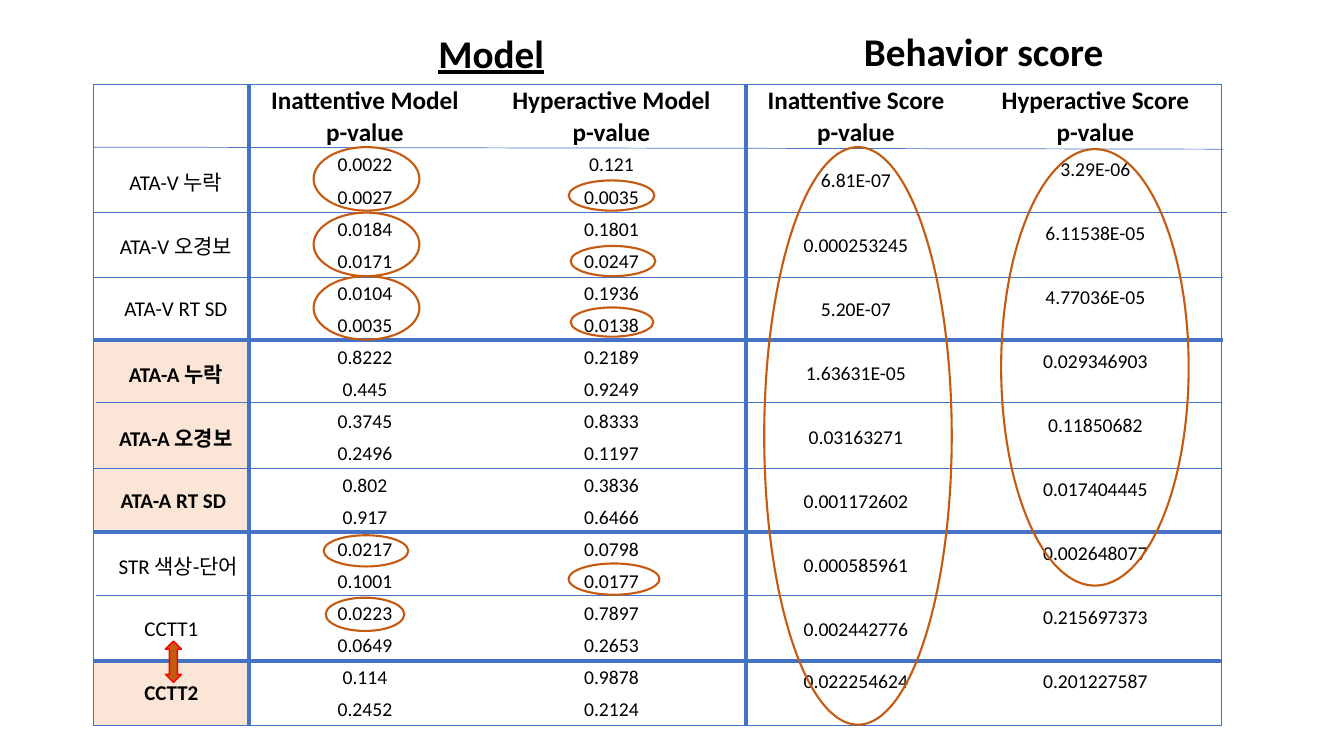
import pptx
import pptx.dml.color
import pptx.enum.shapes
import pptx.enum.text
import pptx.oxml
import pptx.oxml.ns
import pptx.util
from pptx.util import Inches

COLORS = {"blue": "4472C4", "orange": "C55A11", "red": "FF0000", "peach": "FBE5D6", "black": "000000"}
FONT = "Calibri"
NO_GRID_STYLE = "{2D5ABB26-0587-4C30-8999-92F81FD0307C}"
SHAPES = pptx.enum.shapes.MSO_SHAPE
ANCHOR = pptx.enum.text.MSO_ANCHOR

# Table content
TABLE_LEFT, TABLE_TOP, ROW_HEIGHT = 0.93, 0.84, 0.318
COLUMN_WIDTHS = [1.54, 2.3, 2.59, 2.26, 2.49]
HEADINGS = ["Inattentive Model", "Hyperactive Model", "Inattentive Score", "Hyperactive Score"]
# label, indent, highlighted, inattentive model, hyperactive model, inattentive score, hyperactive score
MEASURES = [
    ("ATA-V 누락", 0.1, False, ("0.0022", "0.0027"), ("0.121", "0.0035"), "6.81E-07", "3.29E-06"),
    ("ATA-V 오경보", 0.1, False, ("0.0184", "0.0171"), ("0.1801", "0.0247"), "0.000253245", "6.11538E-05"),
    ("ATA-V RT SD", 0.1, False, ("0.0104", "0.0035"), ("0.1936", "0.0138"), "5.20E-07", "4.77036E-05"),
    ("ATA-A 누락", 0.1, True, ("0.8222", "0.445"), ("0.2189", "0.9249"), "1.63631E-05", "0.029346903"),
    ("ATA-A 오경보", 0.1, True, ("0.3745", "0.2496"), ("0.8333", "0.1197"), "0.03163271", "0.11850682"),
    ("ATA-A RT SD", 0.05, True, ("0.802", "0.917"), ("0.3836", "0.6466"), "0.001172602", "0.017404445"),
    ("STR 색상-단어", 0.15, False, ("0.0217", "0.1001"), ("0.0798", "0.0177"), "0.000585961", "0.002648077"),
    ("CCTT1", 0.01, False, ("0.0223", "0.0649"), ("0.7897", "0.2653"), "0.002442776", "0.215697373"),
    ("CCTT2", 0.01, True, ("0.114", "0.2452"), ("0.9878", "0.2124"), "0.022254624", "0.201227587"),
]

# Rules: start x, start y, end x, end y, width in points
RULES = [
    (0.93, 1.46, 12.13, 1.48, 0.5),
    (2.47, 0.84, 2.47, 7.2, 2.25),
    (0.93, 2.11, 12.17, 2.11, 0.5),
    (0.93, 2.75, 12.13, 2.75, 0.5),
    (0.93, 3.37, 12.13, 3.37, 3),
    (0.95, 3.99, 12.11, 3.99, 0.5),
    (0.93, 4.65, 12.12, 4.65, 0.5),
    (0.93, 5.28, 12.11, 5.28, 3),
    (0.95, 5.91, 12.11, 5.91, 0.5),
    (0.93, 6.56, 12.11, 6.56, 3),
    (7.4, 0.84, 7.4, 7.2, 3),
]

# Rings around significant values: left, top, width, height
RINGS = [
    (3.11, 2.74, 1.05, 0.63), (3.11, 2.11, 1.05, 0.63), (3.11, 1.46, 1.05, 0.63),
    (3.23, 5.93, 0.78, 0.33), (5.64, 1.79, 0.85, 0.3), (5.66, 2.44, 0.84, 0.3),
    (5.66, 3.05, 0.82, 0.29), (5.64, 5.59, 0.9, 0.31), (7.58, 1.46, 1.86, 5.73),
    (9.93, 1.48, 1.86, 4.33), (3.21, 5.31, 0.84, 0.31),
]


def rgb(name):
    return pptx.dml.color.RGBColor.from_string(COLORS[name])


class SlideBuilder:
    def __init__(self, slide):
        self.slide = slide

    def add_text(self, paragraph, text, size, bold=False, underline=False):
        run = paragraph.add_run()
        run.text = text
        run.font.name = FONT
        run.font.size = pptx.util.Pt(size)
        run.font.bold = bold
        run.font.underline = underline
        run.font.color.rgb = rgb("black")

    def heading(self, left, top, width, text, underline=False):
        box = self.slide.shapes.add_textbox(Inches(left), Inches(top), Inches(width), Inches(0.57))
        box.text_frame.word_wrap = True
        box.text_frame.auto_size = pptx.enum.text.MSO_AUTO_SIZE.SHAPE_TO_FIT_TEXT
        self.add_text(box.text_frame.paragraphs[0], text, 28, True, underline)

    def rule(self, x1, y1, x2, y2, width):
        connector = self.slide.shapes.add_connector(
            pptx.enum.shapes.MSO_CONNECTOR.STRAIGHT, Inches(x1), Inches(y1), Inches(x2), Inches(y2))
        connector.line.color.rgb = rgb("blue")
        connector.line.width = pptx.util.Pt(width)
        connector.element.spPr.append(pptx.oxml.parse_xml(
            f"<a:effectLst {pptx.oxml.ns.nsdecls('a')}/>"))

    def shape(self, kind, box, line, width, fill=None):
        shape = self.slide.shapes.add_shape(kind, *[Inches(length) for length in box])
        shape.shadow.inherit = False
        shape.line.color.rgb = rgb(line)
        shape.line.width = pptx.util.Pt(width)
        if fill:
            shape.fill.solid()
            shape.fill.fore_color.rgb = rgb(fill)
        else:
            shape.fill.background()

    def table(self, left, top, column_widths, row_count, row_height):
        frame = self.slide.shapes.add_table(
            row_count, len(column_widths), Inches(left), Inches(top),
            Inches(sum(column_widths)), Inches(row_count * row_height))
        table = frame.table
        table.first_row = table.horz_banding = False
        frame.element.xpath(".//a:tableStyleId")[0].text = NO_GRID_STYLE
        for column, width in zip(table.columns, column_widths):
            column.width = Inches(width)
        for row in table.rows:
            row.height = Inches(row_height)
        for cell in table.iter_cells():
            cell.margin_left = cell.margin_right = cell.margin_top = Inches(0.01)
            cell.margin_bottom = 0
            cell.vertical_anchor = ANCHOR.MIDDLE
            cell.fill.background()
        return table

    def cell_text(self, cell, text, size, bold=False):
        paragraph = cell.text_frame.paragraphs[0]
        paragraph.alignment = pptx.enum.text.PP_ALIGN.CENTER
        self.add_text(paragraph, text, size, bold)

    def frame_table(self, table):
        last_row, last_column = len(table.rows) - 1, len(table.columns) - 1
        for row in range(last_row + 1):
            for column in range(last_column + 1):
                cell = table.cell(row, column)
                bottom = row + (cell.span_height if cell.is_merge_origin else 1) - 1
                edges = {"lnL": column == 0, "lnR": column == last_column,
                         "lnT": row == 0, "lnB": bottom == last_row}
                sides = [side for side, outer in edges.items() if outer]
                properties = cell._tc.get_or_add_tcPr()
                for position, side in enumerate(sides):
                    properties.insert(position, pptx.oxml.parse_xml(
                        f'<a:{side} {pptx.oxml.ns.nsdecls("a")} w="6350"><a:solidFill>'
                        f'<a:srgbClr val="{COLORS["blue"]}"/></a:solidFill></a:{side}>'))


def main():
    presentation = pptx.Presentation()
    presentation.slide_width = Inches(13.33)
    presentation.slide_height = Inches(7.5)
    builder = SlideBuilder(presentation.slides.add_slide(presentation.slide_layouts[6]))

    # Table of p-values, two rows for each measure
    table = builder.table(TABLE_LEFT, TABLE_TOP, COLUMN_WIDTHS, 2 + 2 * len(MEASURES), ROW_HEIGHT)
    for column, heading in enumerate(HEADINGS, 1):
        builder.cell_text(table.cell(0, column), heading, 18, True)
        builder.cell_text(table.cell(1, column), "p-value", 18, True)
    for index, (label, indent, highlighted, *models, inattentive, hyperactive) in enumerate(MEASURES):
        row = 2 + 2 * index
        for column in (0, 3, 4):
            table.cell(row, column).merge(table.cell(row + 1, column))
        label_cell = table.cell(row, 0)
        label_cell.margin_left = Inches(indent)
        builder.cell_text(label_cell, label, 15, highlighted)
        if highlighted:
            label_cell.fill.solid()
            label_cell.fill.fore_color.rgb = rgb("peach")
        for column, pair in enumerate(models, 1):
            for offset, value in enumerate(pair):
                builder.cell_text(table.cell(row + offset, column), value, 14)
        for column, score in ((3, inattentive), (4, hyperactive)):
            cell = table.cell(row, column)
            builder.cell_text(cell, score, 14)
            if column == 4 or label == "CCTT2":
                cell.vertical_anchor = ANCHOR.TOP
                cell.margin_top = Inches(0.09)
    builder.frame_table(table)

    # Rules, rings and the double arrow
    for rule in RULES:
        builder.rule(*rule)
    for ring in RINGS:
        builder.shape(SHAPES.OVAL, ring, "orange", 1.5)
    builder.shape(SHAPES.UP_DOWN_ARROW, (1.64, 6.36, 0.16, 0.41), "red", 1, "orange")

    # Headings
    builder.heading(4.25, 0.24, 1.83, "Model", underline=True)
    builder.heading(8.47, 0.22, 3.32, "Behavior score")
    presentation.save("out.pptx")


if __name__ == "__main__":
    main()
